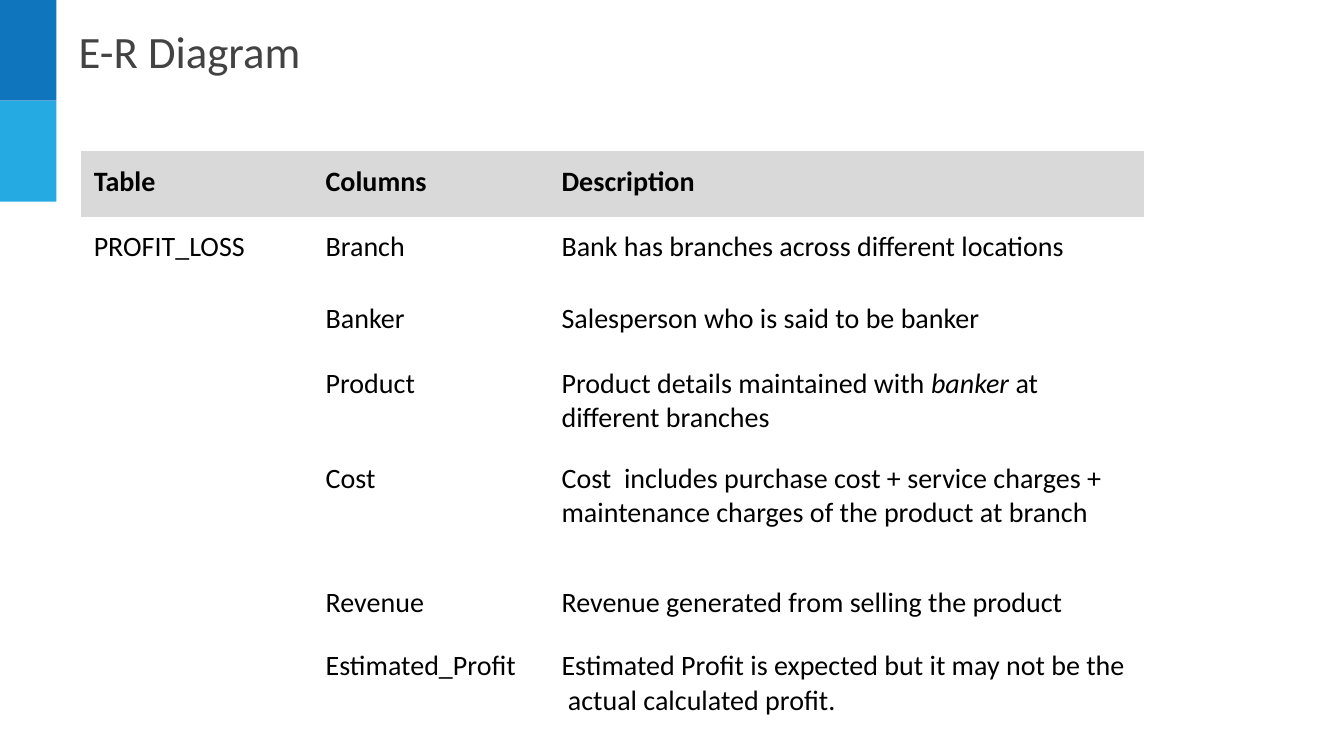
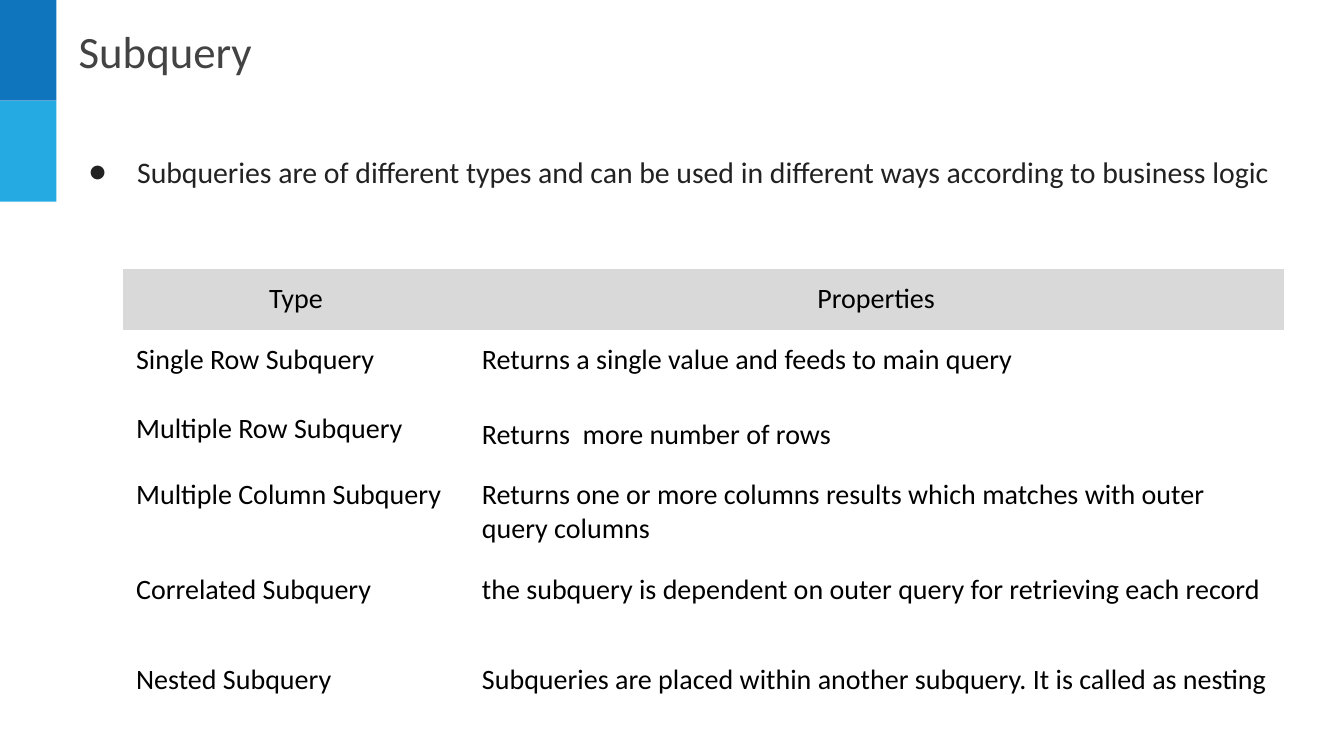
from lxml import etree
from pptx import Presentation
from pptx.dml.color import RGBColor
from pptx.enum.shapes import MSO_SHAPE
from pptx.enum.text import MSO_ANCHOR, MSO_AUTO_SIZE, PP_ALIGN
from pptx.oxml.ns import qn
from pptx.util import Inches, Pt

RECTANGLE = MSO_SHAPE.RECTANGLE
TOP = MSO_ANCHOR.TOP
NO_AUTOFIT = MSO_AUTO_SIZE.NONE
LEFT, CENTER = PP_ALIGN.LEFT, PP_ALIGN.CENTER

FONT = "Calibri"
COLORS = {
    "dark_band": "0F75BD",
    "light_band": "25AAE2",
    "title": "434343",
    "body": "222222",
    "cell": "000000",
    "header": "D9D9D9",
}
BANDS = ["dark_band", "light_band"]
BAND_WIDTH, BAND_HEIGHT = 0.56, 1
INSET = 0.13
PLAIN_TABLE_STYLE = "{2D5ABB26-0587-4C30-8999-92F81FD0307C}"

SLIDES = [
    {
        "title": "E-R Diagram",
        "bullets": [],
        "table": {
            "at": (0.8, 1.5),
            "columns": [2.3, 2.34, 5.91],
            "heights": [0.65, 0.71, 0.65, 0.91, 1.23, 0.63, 1.04],
            "header": {"bold": True, "align": LEFT},
            "spacing": {},
            "rows": [
                ["Table", "Columns", "Description"],
                ["PROFIT_LOSS", "Branch", "Bank has branches across different locations"],
                ["", "Banker", "Salesperson who is said to be banker"],
                ["", "Product", [
                    ("Product details maintained with ", False),
                    ("banker ", True),
                    ("at different branches", False),
                ]],
                ["", "Cost", "Cost  includes purchase cost + service charges + "
                             "maintenance charges of the product at branch"],
                ["", "Revenue", "Revenue generated from selling the product"],
                ["", "Estimated_Profit", "Estimated Profit is expected but it may not be the "
                                         " actual calculated profit."],
            ],
        },
    },
    {
        "title": "Subquery",
        "bullets": ["Subqueries are of different types and can be used in different ways "
                    "according to business logic"],
        "table": {
            "at": (1.22, 2.67),
            "columns": [3.43, 8.08],
            "heights": [0.57, 0.69, 0.6, 0.89, 0.89, 1.01],
            "header": {"bold": False, "align": CENTER},
            "spacing": {(2, 1): 1.15},
            "rows": [
                ["Type", "Properties"],
                ["Single Row Subquery", "Returns a single value and feeds to main query"],
                ["Multiple Row Subquery", "Returns  more number of rows"],
                ["Multiple Column Subquery", "Returns one or more columns results which "
                                             "matches with outer query columns"],
                ["Correlated Subquery", "the subquery is dependent on outer query for "
                                        "retrieving each record"],
                ["Nested Subquery", "Subqueries are placed within another subquery. "
                                    "It is called as nesting"],
            ],
        },
    },
]


def color(name):
    return RGBColor.from_string(COLORS[name])


def set_margins(target):
    target.margin_left = target.margin_right = Inches(INSET)
    target.margin_top = target.margin_bottom = Inches(INSET)


def add_span(para, text, size, color_name, bold=False, italic=False):
    span = para.add_run()
    span.text = text
    span.font.name = FONT
    span.font.size = Pt(size)
    span.font.color.rgb = color(color_name)
    span.font.bold = bold
    span.font.italic = italic


def place(box, left, top, width, height):
    box.left, box.top = Inches(left), Inches(top)
    box.width, box.height = Inches(width), Inches(height)
    frame = box.text_frame
    set_margins(frame)
    frame.word_wrap = True
    frame.auto_size = NO_AUTOFIT
    frame.vertical_anchor = TOP
    return frame


def add_bands(page):
    for index, name in enumerate(BANDS):
        band = page.shapes.add_shape(
            RECTANGLE, 0, Inches(index * BAND_HEIGHT), Inches(BAND_WIDTH), Inches(BAND_HEIGHT))
        band.shadow.inherit = False
        band.fill.solid()
        band.fill.fore_color.rgb = color(name)
        band.line.fill.background()


def fill_title(page, text):
    para = place(page.shapes.title, 0.65, 0.11, 10.86, 0.77).paragraphs[0]
    para.alignment = LEFT
    add_span(para, text, 32, "title")


def set_bullet(para):
    properties = para._p.get_or_add_pPr()
    properties.set("marL", str(Inches(0.67)))
    properties.set("indent", str(Inches(-0.48)))
    bullet_color = etree.SubElement(properties, qn("a:buClr"))
    etree.SubElement(bullet_color, qn("a:srgbClr"), val=COLORS["body"])
    etree.SubElement(properties, qn("a:buFont"), typeface=FONT)
    etree.SubElement(properties, qn("a:buChar"), char="●")


def fill_bullets(page, bullets):
    frame = place(page.placeholders[1], 0.56, 1.34, 12.43, 1.11)
    for index, text in enumerate(bullets):
        para = frame.add_paragraph() if index else frame.paragraphs[0]
        para.line_spacing = 1.15
        para.space_before = Pt(16)
        set_bullet(para)
        add_span(para, text, 21.3, "body")


def fill_cell(cell, content, is_header, header, spacing):
    set_margins(cell)
    cell.vertical_anchor = TOP
    if is_header:
        cell.fill.solid()
        cell.fill.fore_color.rgb = color("header")
    else:
        cell.fill.background()
    if not content:
        return
    para = cell.text_frame.paragraphs[0]
    para.alignment = header["align"] if is_header else LEFT
    if spacing:
        para.line_spacing = spacing
    spans = [(content, False)] if isinstance(content, str) else content
    for text, italic in spans:
        add_span(para, text, 20, "cell", is_header and header["bold"], italic)


def add_table(page, data):
    left, top = data["at"]
    frame = page.shapes.add_table(
        len(data["rows"]), len(data["columns"]), Inches(left), Inches(top),
        Inches(sum(data["columns"])), Inches(sum(data["heights"])))
    table = frame.table
    table.first_row = table.horz_banding = False
    table._tbl.tblPr.find(qn("a:tableStyleId")).text = PLAIN_TABLE_STYLE
    for column, width in zip(table.columns, data["columns"]):
        column.width = Inches(width)
    for row, height in zip(table.rows, data["heights"]):
        row.height = Inches(height)
    for row_index, row in enumerate(data["rows"]):
        for column_index, content in enumerate(row):
            fill_cell(table.cell(row_index, column_index), content, row_index == 0,
                      data["header"], data["spacing"].get((row_index, column_index)))


def main():
    deck = Presentation()
    deck.slide_width, deck.slide_height = Inches(13.33), Inches(7.5)
    title_and_content, title_only = deck.slide_layouts[1], deck.slide_layouts[5]
    for content in SLIDES:
        page = deck.slides.add_slide(title_and_content if content["bullets"] else title_only)
        add_bands(page)
        fill_title(page, content["title"])
        if content["bullets"]:
            fill_bullets(page, content["bullets"])
        add_table(page, content["table"])
    deck.save("out.pptx")


if __name__ == "__main__":
    main()
